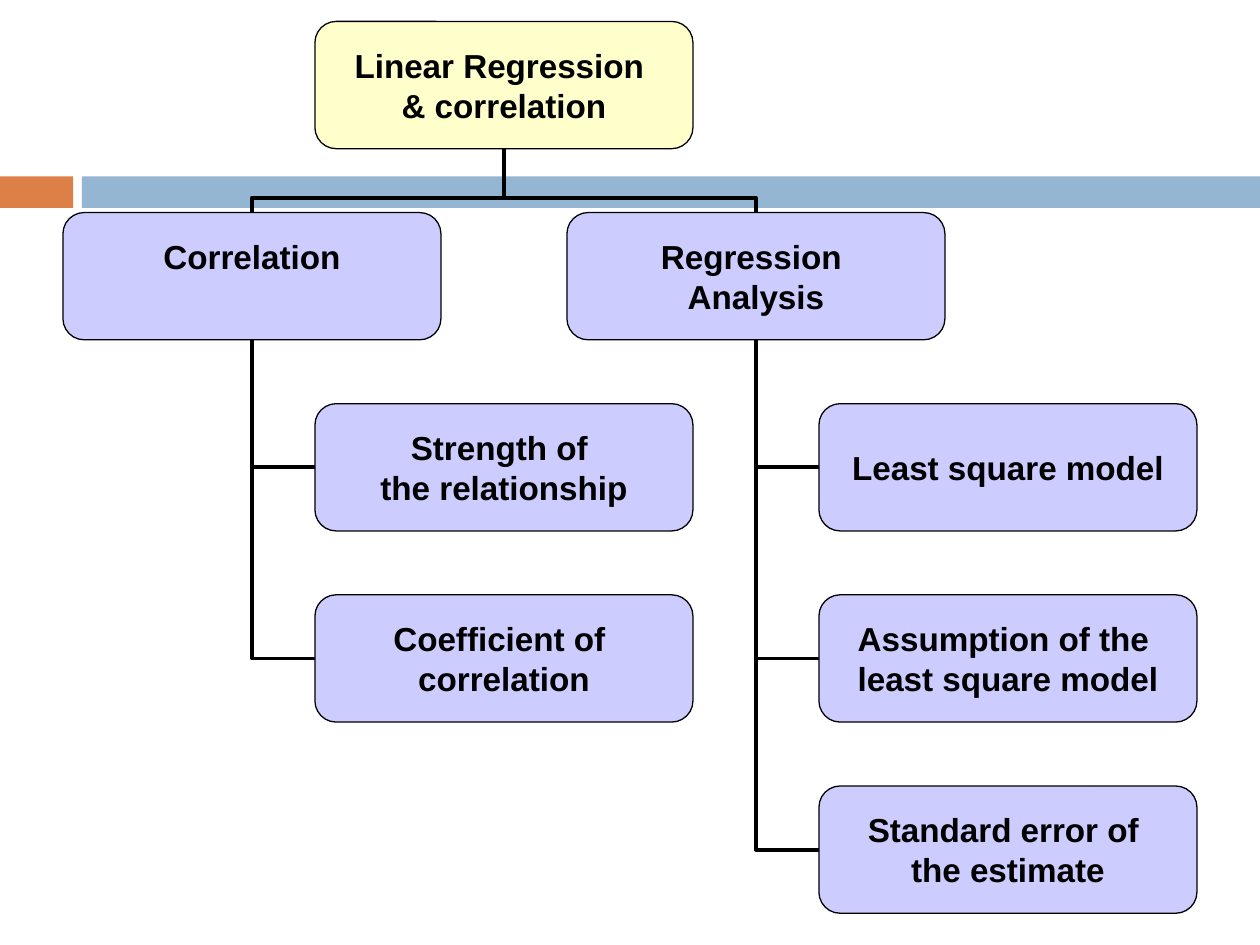
import pptx
import pptx.util
import pptx.dml.color
import pptx.enum.shapes
import pptx.enum.text
import pptx.oxml.ns
from lxml import etree

Inches = pptx.util.Inches
Pt = pptx.util.Pt
qn = pptx.oxml.ns.qn
Kind = pptx.enum.shapes.MSO_SHAPE


def tint(code):
    return pptx.dml.color.RGBColor.from_string(code)


class Chart:
    """Draws the parts of a tree chart on one slide in one style."""

    font, size, ink = "Arial", 19, "000000"
    wide, high, step, top = 3, 1.01, 1.517, 0.17

    def __init__(self, slide):
        self.shapes = slide.shapes

    def row(self, level):
        return self.top + level * self.step

    def shape(self, kind, x, y, w, h, fill):
        item = self.shapes.add_shape(kind, Inches(x), Inches(y), Inches(w), Inches(h))
        item.shadow.inherit = False
        item.fill.solid()
        item.fill.fore_color.rgb = tint(fill)
        item.line.fill.background()
        return item

    def node(self, x, level, lines, fill="CCCCFF", lift=0):
        item = self.shape(Kind.ROUNDED_RECTANGLE, x, self.row(level), self.wide, self.high, fill)
        item.line.color.rgb = tint(self.ink)
        item.line.width = Pt(0.75)
        frame = item.text_frame
        frame.word_wrap = False
        frame.vertical_anchor = pptx.enum.text.MSO_ANCHOR.MIDDLE
        frame.margin_left = frame.margin_right = frame.margin_top = 0
        frame.margin_bottom = Inches(lift)
        frame.text = "\n".join(lines)
        for para in frame.paragraphs:
            para.alignment = pptx.enum.text.PP_ALIGN.CENTER
            para.font.name = self.font
            para.font.size = Pt(self.size)
            para.font.bold = True
            para.font.color.rgb = tint(self.ink)

    def elbow(self, x, y, w, h, turn, flips=(), bend=None):
        link = self.shapes.add_connector(
            pptx.enum.shapes.MSO_CONNECTOR.ELBOW,
            Inches(x), Inches(y), Inches(x + w), Inches(y + h))
        link.line.color.rgb = tint(self.ink)
        link.line.width = Pt(2.25)
        props = link._element.spPr
        etree.SubElement(props, qn("a:effectLst"))
        frame = props.find(qn("a:xfrm"))
        frame.set("rot", str(turn * 60000))
        for flip in flips:
            frame.set(flip, "1")
        geom = props.find(qn("a:prstGeom"))
        if bend is None:
            geom.set("prst", "bentConnector2")
        else:
            guide = etree.SubElement(geom.find(qn("a:avLst")), qn("a:gd"))
            guide.set("name", "adj1")
            guide.set("fmla", f"val {round(bend * 100000)}")

    def twig(self, x, level):
        start = self.row(1) + self.high
        self.elbow(x, start, 0.5, self.row(level) + self.high / 2 - start, 180)

    def fork(self, x, turn, flips):
        gap, span = self.step - self.high, 2
        mid = self.top + self.high + gap / 2
        self.elbow(x - gap / 2, mid - span / 2, gap, span, turn, flips, 0.23)


def main():
    deck = pptx.Presentation()
    deck.slide_width, deck.slide_height = Inches(10), Inches(7.5)
    chart = Chart(deck.slides.add_slide(deck.slide_layouts[6]))
    chart.shape(Kind.RECTANGLE, 0, 1.4, 0.58, 0.25, "DD8047")
    chart.shape(Kind.RECTANGLE, 0.65, 1.4, 9.35, 0.25, "94B6D2")

    trees = [
        (0.5, ["Correlation"], 0.31, [
            ["Strength of ", "the relationship"],
            ["Coefficient of ", "correlation"]]),
        (4.5, ["Regression ", "Analysis"], 0, [
            ["Least square model"],
            ["Assumption of the ", "least square model"],
            ["Standard error of ", "the estimate"]]),
    ]
    for x, _, _, leaves in trees:
        for level in range(len(leaves) + 1, 1, -1):
            chart.twig(x + 1.5, level)
    chart.fork(5, 270, ["flipV"])
    chart.fork(3, 90, ["flipH", "flipV"])

    chart.node(2.5, 0, ["Linear Regression ", "& correlation"], "FFFFCC")
    for x, head, lift, leaves in trees:
        chart.node(x, 1, head, lift=lift)
        for level, lines in enumerate(leaves, 2):
            chart.node(x + 2, level, lines)
    deck.save("out.pptx")


if __name__ == "__main__":
    main()
